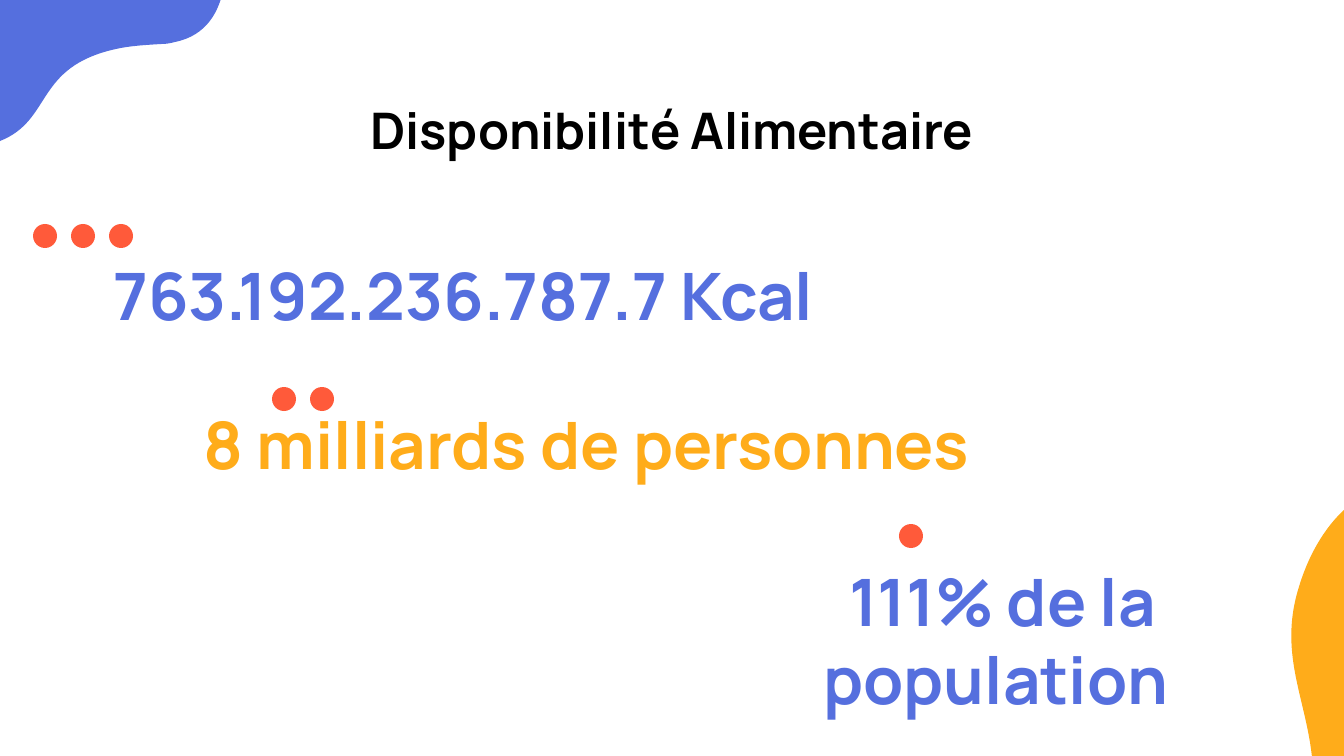
from dataclasses import dataclass

from lxml.etree import SubElement
from pptx import Presentation
from pptx.dml.color import RGBColor
from pptx.enum.shapes import MSO_SHAPE
from pptx.enum.text import MSO_ANCHOR, PP_ALIGN
from pptx.oxml.ns import qn
from pptx.util import Pt

PX = 12192000 / 1344  # EMU per px
SLIDE_SIZE = (1344, 756)


@dataclass(frozen=True)
class Theme:
    font: str = "Manrope"
    black: str = "000000"
    blue: str = "556FDE"
    orange: str = "FFAC1A"
    red: str = "FF5A3A"
    title_size: float = 36
    figure_size: float = 46.7


THEME = Theme()

TITLE = ("Disponibilité Alimentaire", (207, 86, 930, 85))

# text, box (left, top, width, height), colour
FIGURES = [
    ("763.192.236.787.7 Kcal", (83, 242, 761, 85), THEME.blue),
    ("111% de la population ", (783, 548, 439, 85), THEME.blue),
    ("8 milliards de personnes", (183, 391, 807, 85), THEME.orange),
]

# first dot's left and top, number of dots
DOT_ROWS = [((899, 524), 1), ((33, 224), 3), ((272, 387), 2)]
DOT_SIZE, DOT_PITCH = 24, 38

# start point, then one point for a line or three for a curve
BLOBS = [
    (THEME.orange, (1299, 587), [
        [(1271, 676), (1331, 726), (1308, 828)],
        [(1288, 916), (1369, 919), (1369, 919)],
        [(1496, 505)],
        [(1496, 505), (1375, 429), (1312, 554)],
        [(1306, 566), (1302, 577), (1299, 587)],
    ]),
    (THEME.blue, (-16, 145), [
        [(-11, 144), (-5, 143), (0, 141)],
        [(53, 120), (34, 67), (116, 49)],
        [(129, 46), (144, 45), (162, 44)],
        [(167, 44), (171, 43), (175, 42)],
        [(239, 29), (224, -56), (224, -56)],
        [(-112, 14)],
        [(-88, 129)],
        [(-88, 129), (-59, 155), (-16, 145)],
    ]),
]


def emu(*lengths):
    return [round(n * PX) for n in lengths]


def paint(sp, color):
    sp.shadow.inherit = False
    sp.fill.solid()
    sp.fill.fore_color.rgb = RGBColor.from_string(color)
    sp.line.fill.background()


def bend(sp, segments):
    """Turn each three-point segment of a freeform into a Bézier curve."""
    lines = sp.element.iter(qn("a:lnTo"))
    lines = iter(list(lines))
    for segment in segments:
        steps = [next(lines) for _ in segment]
        if len(steps) == 3:
            outline = steps[0].getparent()
            curve = SubElement(outline, qn("a:cubicBezTo"))
            outline.replace(steps[0], curve)
            for step in steps:
                curve.append(step[0])
            for step in steps[1:]:
                outline.remove(step)


def add_blob(s, color, start, segments):
    points = [emu(*point) for segment in segments for point in segment]
    builder = s.shapes.build_freeform(*emu(*start))
    builder.add_line_segments(points, close=True)
    sp = builder.convert_to_shape()
    bend(sp, segments)
    paint(sp, color)


def set_text(sp, text, *, size, color, bold=True, align=PP_ALIGN.CENTER):
    tf = sp.text_frame
    tf.word_wrap = True
    tf.vertical_anchor = MSO_ANCHOR.TOP
    tf.margin_left = tf.margin_top = tf.margin_right = tf.margin_bottom = emu(13)[0]
    p = tf.paragraphs[0]
    p.alignment = align
    p.line_spacing = 1.0
    p.space_before = Pt(0)
    r = p.add_run()
    r.text = text
    r.font.name = THEME.font
    r.font.size = Pt(size)
    r.font.bold = bold
    r.font.color.rgb = RGBColor.from_string(color)


def main():
    prs = Presentation()
    prs.slide_width, prs.slide_height = emu(*SLIDE_SIZE)
    s = prs.slides.add_slide(prs.slide_layouts[5])

    for blob in BLOBS:
        add_blob(s, *blob)

    text, box = TITLE
    title = s.shapes.title
    title.left, title.top, title.width, title.height = emu(*box)
    set_text(title, text, size=THEME.title_size, color=THEME.black)

    for text, box, color in FIGURES:
        set_text(s.shapes.add_textbox(*emu(*box)), text,
                 size=THEME.figure_size, color=color)

    for (left, top), count in DOT_ROWS:
        for i in range(count):
            box = emu(left + i * DOT_PITCH, top, DOT_SIZE, DOT_SIZE)
            paint(s.shapes.add_shape(MSO_SHAPE.OVAL, *box), THEME.red)

    prs.save("out.pptx")


if __name__ == "__main__":
    main()
